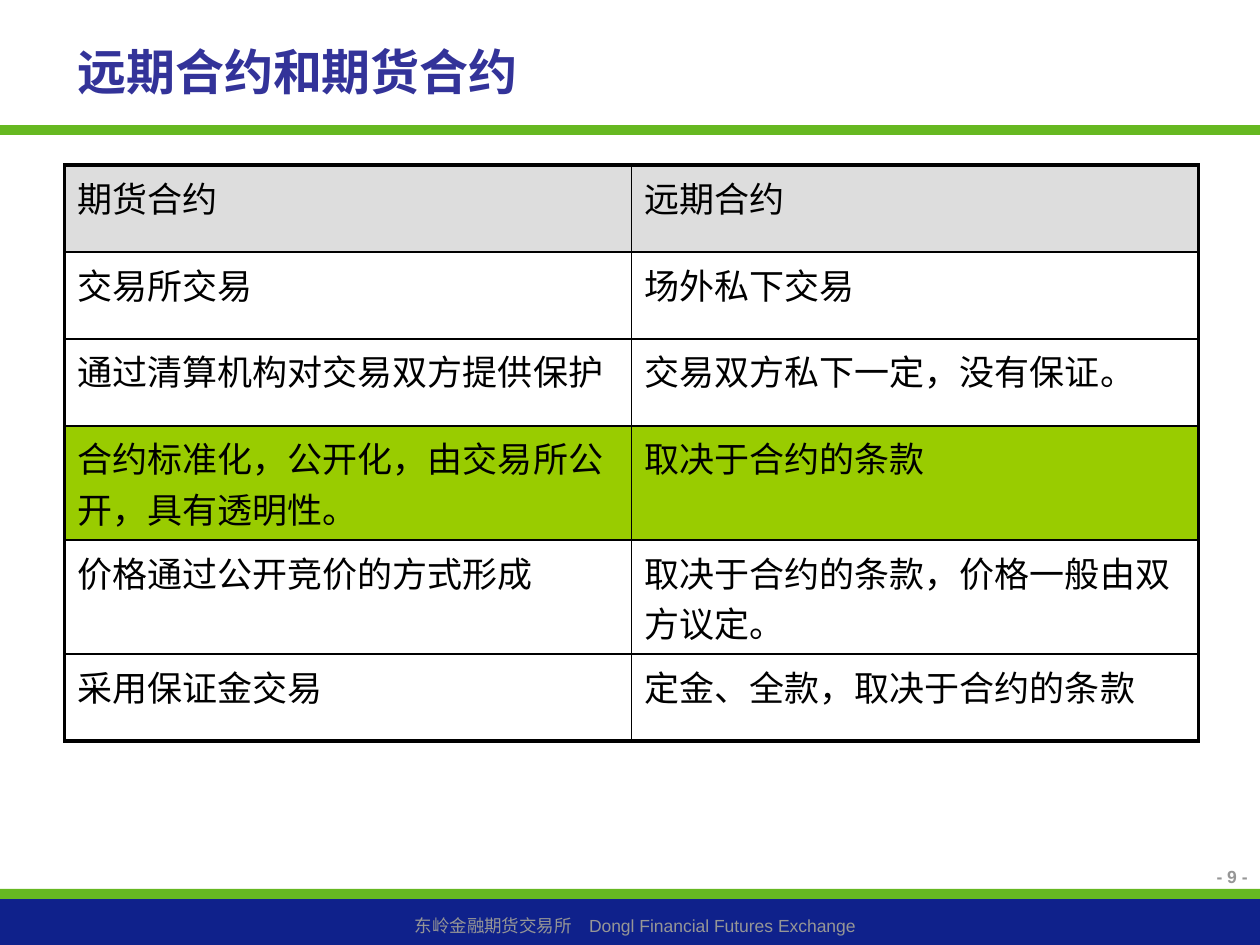
from lxml import etree
from pptx import Presentation
from pptx.dml.color import RGBColor
from pptx.enum.shapes import MSO_SHAPE
from pptx.enum.text import MSO_ANCHOR, PP_ALIGN
from pptx.oxml.ns import qn
from pptx.util import Pt

RECT = MSO_SHAPE.RECTANGLE
MIDDLE = MSO_ANCHOR.MIDDLE
LEFT, CENTER, RIGHT = PP_ALIGN.LEFT, PP_ALIGN.CENTER, PP_ALIGN.RIGHT

BLACK = RGBColor(0x00, 0x00, 0x00)
WHITE = RGBColor(0xFF, 0xFF, 0xFF)
GREEN = RGBColor(0x66, 0xB8, 0x21)
NAVY = RGBColor(0x0F, 0x21, 0x8B)
INDIGO = RGBColor(0x33, 0x33, 0x99)
GRAY = RGBColor(0x96, 0x96, 0x96)
SILVER = RGBColor(0xDD, 0xDD, 0xDD)
LIME = RGBColor(0x99, 0xCC, 0x00)

TITLE = "远期合约和期货合约"
ONE, TWO = 49.7, 65.2  # heights of rows with one and two lines
ROWS = [  # futures, forward, height, fill
    ("期货合约", "远期合约", ONE, SILVER),
    ("交易所交易", "场外私下交易", ONE, WHITE),
    ("通过清算机构对交易双方提供保护", "交易双方私下一定，没有保证。", ONE, WHITE),
    ("合约标准化，公开化，由交易所公开，具有透明性。", "取决于合约的条款", TWO, LIME),
    ("价格通过公开竞价的方式形成", "取决于合约的条款，价格一般由双方议定。", TWO, WHITE),
    ("采用保证金交易", "定金、全款，取决于合约的条款", ONE, WHITE),
]
BANDS = [(71.5, 5.6, GREEN), (508, 5.8, GREEN), (513.8, 26.2, NAVY)]  # top, height, colour
NOTES = [  # text, box, alignment, bold
    ("东岭金融期货交易所　Dongl Financial Futures Exchange",
     (5.8, 519.5, 714.2, 19.4), CENTER, False),
    ("- 9 -", (578.2, 491.3, 141.8, 25.9), RIGHT, True),
]
TITLE_BOX = (37, 15.1, 493.5, 51.1)
LEFT_EDGE, TOP_EDGE, COL = 37, 94.3, 324
THICK, THIN = 2.25, 1


def write(frame, text, align=LEFT, **font):
    para = frame.paragraphs[0]
    para.alignment = align
    run = para.add_run()
    run.text = text
    look = run.font
    look.name = "Arial"
    look.color.rgb = font.pop("color")
    for key, value in font.items():
        setattr(look, key, value)


def edge(cell, sides):
    """Draw cell borders; sides maps lnL, lnR, lnT, lnB, in that order, to widths."""
    props = cell._tc.get_or_add_tcPr()
    for spot, (tag, width) in enumerate(sides.items()):
        line = etree.Element(qn("a:" + tag), w=str(Pt(width)))
        fill = etree.SubElement(line, qn("a:solidFill"))
        etree.SubElement(fill, qn("a:srgbClr"), val=str(BLACK))
        props.insert(spot, line)


def add_bands(slide):
    for top, height, color in BANDS:
        band = slide.shapes.add_shape(RECT, 0, Pt(top), Pt(720), Pt(height))
        band.shadow.inherit = False
        band.fill.solid()
        band.fill.fore_color.rgb = color
        band.line.fill.background()


def add_notes(slide):
    for text, box, align, bold in NOTES:
        frame = slide.shapes.add_textbox(*map(Pt, box)).text_frame
        frame.word_wrap = True
        write(frame, text, align, size=Pt(10), bold=bold, color=GRAY)


def set_title(slide):
    title = slide.shapes.title
    title.left, title.top, title.width, title.height = map(Pt, TITLE_BOX)
    title.text_frame.vertical_anchor = MIDDLE
    write(title.text_frame, TITLE, size=Pt(28), bold=True, color=INDIGO)


def add_grid(slide):
    total = sum(row[2] for row in ROWS)
    table = slide.shapes.add_table(
        len(ROWS), 2, Pt(LEFT_EDGE), Pt(TOP_EDGE), Pt(2 * COL), Pt(total)).table
    last = len(ROWS) - 1
    for r, (*texts, height, fill) in enumerate(ROWS):
        table.rows[r].height = Pt(height)
        for c, text in enumerate(texts):
            cell = table.cell(r, c)
            cell.fill.solid()
            cell.fill.fore_color.rgb = fill
            write(cell.text_frame, text, size=Pt(20), bold=False, color=BLACK)
            outer = {"lnL": c == 0, "lnR": c == 1, "lnT": r == 0, "lnB": r == last}
            edge(cell, {tag: THICK if out else THIN for tag, out in outer.items()})


def main():
    deck = Presentation()
    deck.slide_width, deck.slide_height = Pt(720), Pt(540)
    slide = deck.slides.add_slide(deck.slide_layouts[5])
    add_bands(slide)
    add_notes(slide)
    set_title(slide)
    add_grid(slide)
    deck.save("out.pptx")


if __name__ == "__main__":
    main()
